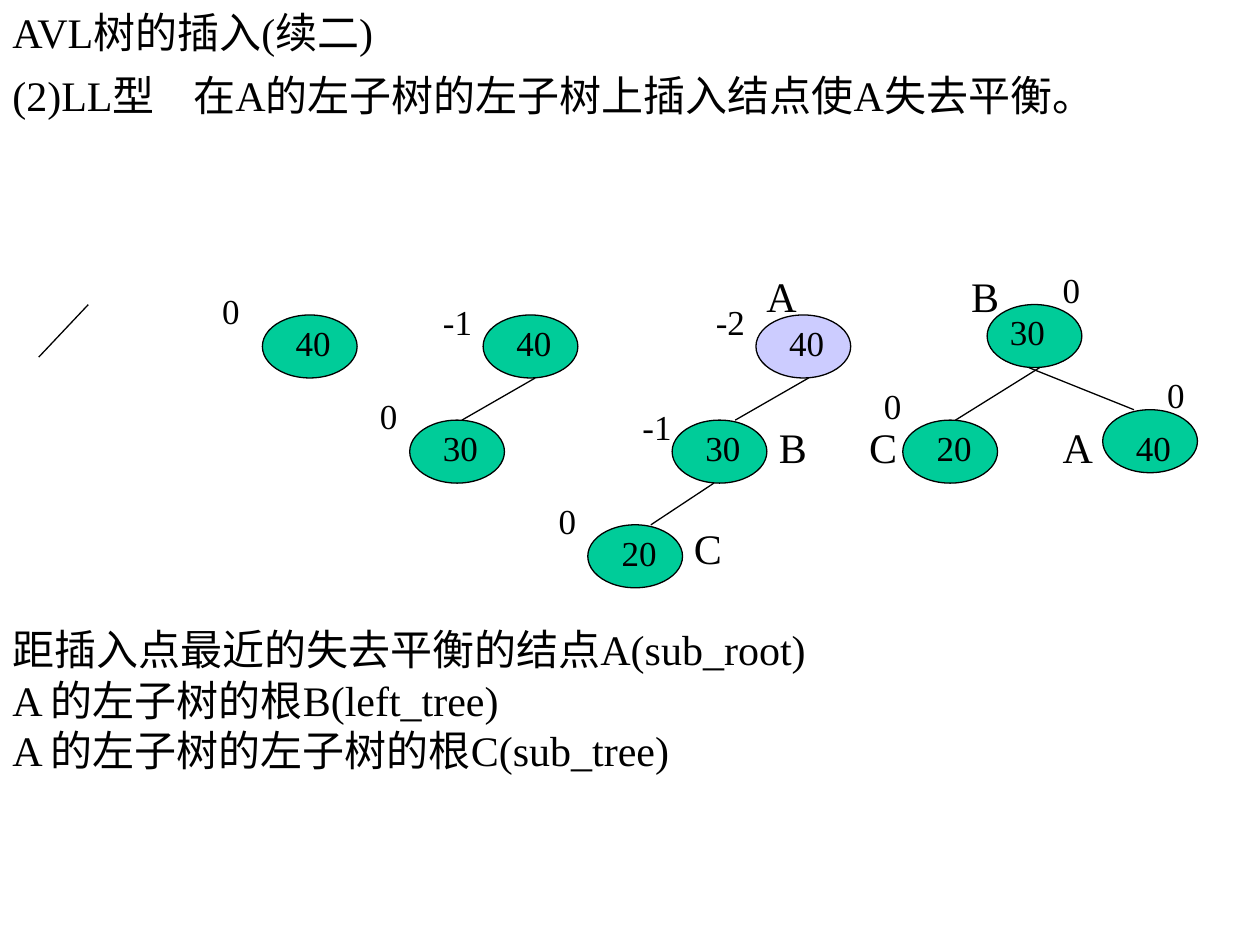
from lxml import etree
from pptx import Presentation
from pptx import util as u
from pptx.dml.color import RGBColor
from pptx.enum import shapes, text
from pptx.oxml import ns

BLACK = RGBColor(0, 0, 0)
GREEN = RGBColor(0x00, 0xCC, 0x99)
LAVENDER = RGBColor(0xCC, 0xCC, 0xFF)
FONT = "Times New Roman"
GRID = 2.54 / 12
BODY_TOP = 6
LINE_PITCH = 4.8


def grid(*units):
    return [u.Cm(round(unit * GRID, 2)) for unit in units]


def body_line(number):
    return BODY_TOP + LINE_PITCH * number


def write_text(frame, content, size=24, spacing=None, tab=None, wrap=True,
               anchor=text.MSO_ANCHOR.TOP):
    frame.word_wrap = wrap
    frame.vertical_anchor = anchor
    for index, line in enumerate(content.split("\n")):
        para = frame.paragraphs[0] if index == 0 else frame.add_paragraph()
        para.space_before = u.Pt(0)
        if spacing:
            para.line_spacing = u.Pt(spacing)
        if tab:
            stops = etree.SubElement(para._p.get_or_add_pPr(), ns.qn("a:tabLst"))
            etree.SubElement(stops, ns.qn("a:tab"), pos=str(u.Cm(tab)), algn="l")
        span = para.add_run()
        span.text = line
        span.font.name = FONT
        span.font.size = u.Pt(size)
        span.font.color.rgb = BLACK


class TreeSlide:
    line_width = u.Pt(0.75)

    def __init__(self, slide):
        self.shapes = slide.shapes

    def text_box(self, content, left, top, width, height, **style):
        box = self.shapes.add_textbox(*grid(left, top, width, height))
        write_text(box.text_frame, content, **style)

    def name(self, letter, left, line):
        self.text_box(letter, left, body_line(line), 5, 6, spacing=28.8, wrap=False)

    def node(self, left, top, fill=GREEN):
        oval = self.shapes.add_shape(shapes.MSO_SHAPE.OVAL, *grid(left, top, 9, 6))
        oval.shadow.inherit = False
        oval.fill.solid()
        oval.fill.fore_color.rgb = fill
        oval.line.color.rgb = BLACK
        oval.line.width = self.line_width

    def number(self, value, left, top, width):
        self.text_box(value, left, top, width, 5.25, size=20)

    def edge(self, *ends):
        line = self.shapes.add_connector(shapes.MSO_CONNECTOR.STRAIGHT, *grid(*ends))
        line.line.color.rgb = BLACK
        line.line.width = self.line_width
        etree.SubElement(line._element.spPr, ns.qn("a:effectLst"))


def main():
    deck = Presentation()
    deck.slide_width, deck.slide_height = u.Cm(25.4), u.Cm(19.05)
    page = TreeSlide(deck.slides.add_slide(deck.slide_layouts[6]))

    page.text_box("AVL树的插入(续二)", 0, 0, 102, 6, anchor=text.MSO_ANCHOR.MIDDLE)
    page.text_box("(2)LL型\t在A的左子树的左子树上插入结点使A失去平衡。",
                  0, BODY_TOP, 117, 6, spacing=28.8, tab=3.65)
    page.text_box("距插入点最近的失去平衡的结点A(sub_root)\n"
                  "A 的左子树的根B(left_tree)\n"
                  "A 的左子树的左子树的根C(sub_tree)",
                  0, body_line(11), 117, 16, spacing=28.8)

    names = [("A", 71.8, 4), ("B", 91.3, 4), ("B", 73, 7),
             ("C", 81.6, 7), ("A", 100, 7), ("C", 64.9, 9)]
    for letter, left, line in names:
        page.name(letter, left, line)

    nodes = [
        ("40", 25, 30, GREEN, 2, 0),
        ("40", 46, 30, GREEN, 2, 0),
        ("30", 39, 40, GREEN, 2, 0),
        ("40", 72, 30, LAVENDER, 2, 0),
        ("30", 64, 40, GREEN, 2, 0),
        ("20", 56, 50, GREEN, 2, 0),
        ("30", 94, 29, GREEN, 1, 0),
        ("40", 105, 39, GREEN, 2, 1),
        ("20", 86, 40, GREEN, 2, 0),
    ]
    for key, left, top, fill, shift_x, shift_y in nodes:
        page.node(left, top, fill)
        page.number(key, left + shift_x, top + shift_y, 7)

    balances = [("0", 20, 27), ("-1", 41, 28), ("0", 35, 37),
                ("-2", 67, 28), ("-1", 60, 38), ("0", 52, 47),
                ("0", 83, 36), ("0", 110, 35), ("0", 100, 25)]
    for factor, left, top in balances:
        page.number(factor, left, top, 6)

    edges = [(8.4, 29, 3.7, 34), (51, 36, 44, 40), (77, 36, 70, 40),
             (62, 50, 68, 46), (99, 35, 91, 40), (98, 35, 108, 39)]
    for ends in edges:
        page.edge(*ends)

    deck.save("out.pptx")


if __name__ == "__main__":
    main()
